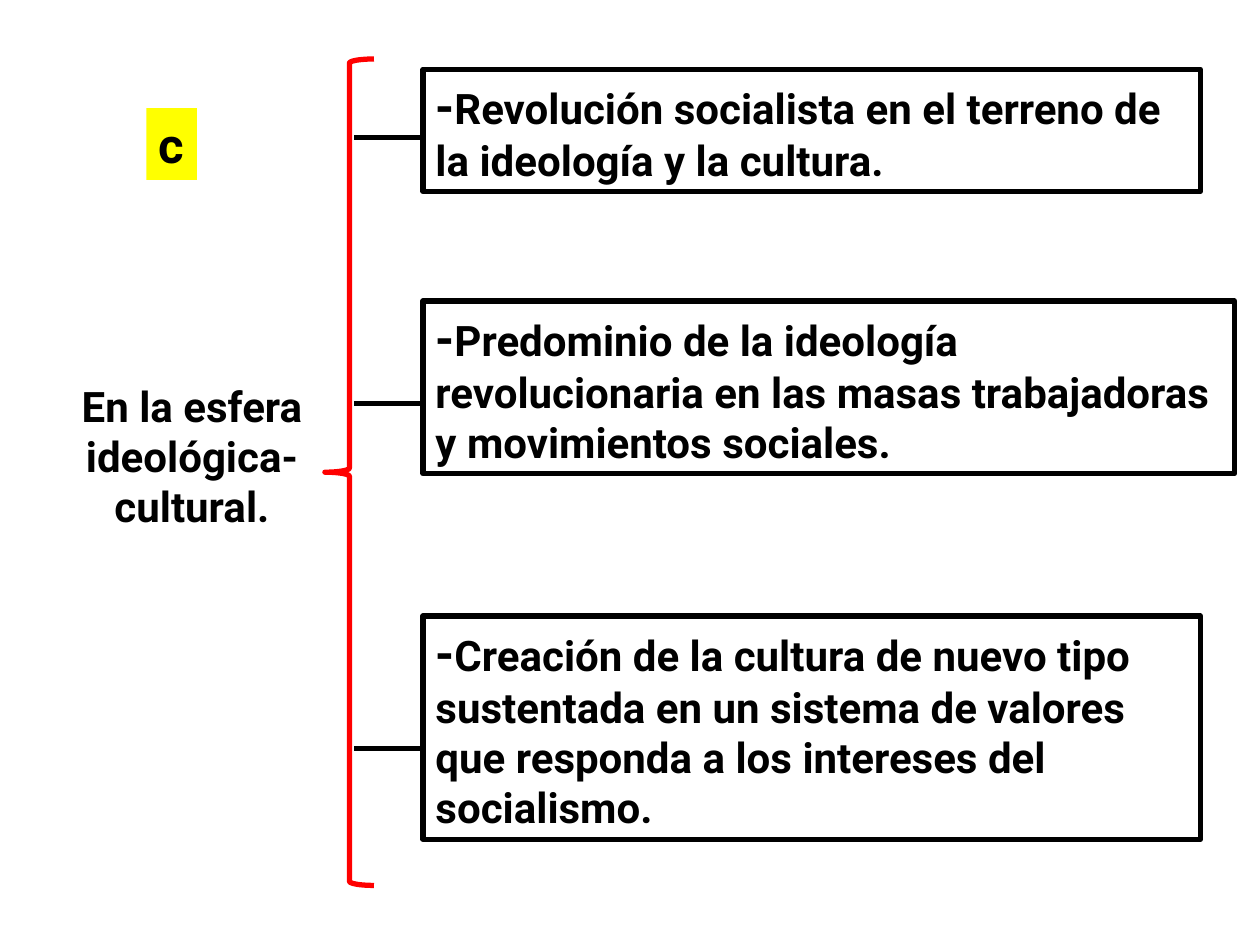
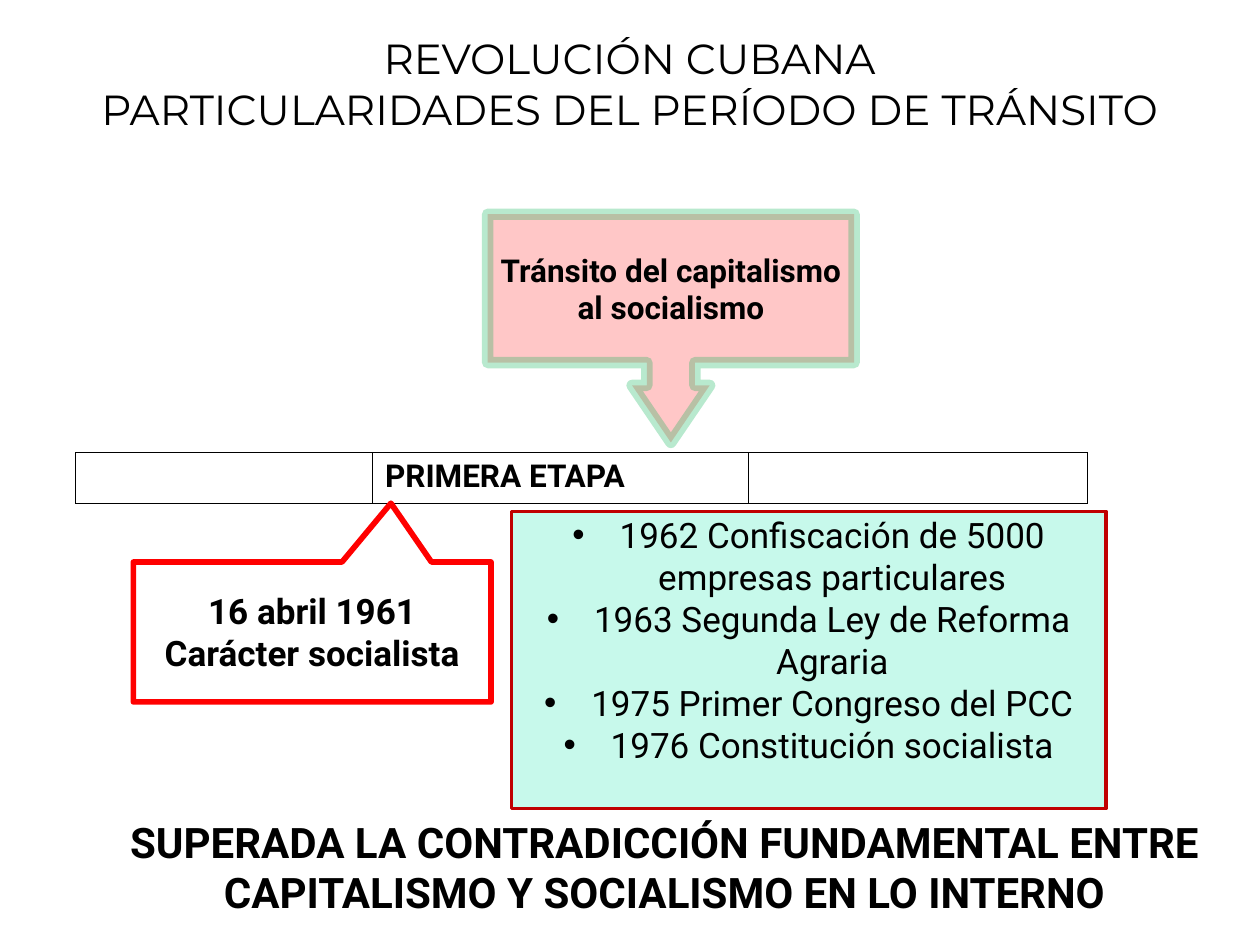
"""Build two slides on the ideological sphere and the Cuban period of transition."""
from lxml.etree import SubElement
from pptx import Presentation
from pptx.dml.color import RGBColor
from pptx.enum.shapes import MSO_CONNECTOR, MSO_SHAPE
from pptx.enum.text import MSO_ANCHOR, MSO_AUTO_SIZE, PP_ALIGN
from pptx.oxml import parse_xml
from pptx.oxml.ns import nsdecls, qn
from pptx.util import Cm, Pt

COLORS = {
    "ink": "000000",
    "paper": "FFFFFF",
    "red": "FF0000",
    "dark_red": "C00000",
    "yellow": "FFFF00",
    "green": "00B050",
    "mint": "00E4A8",
}
BODY_FONT = "Roboto"
TITLE_FONT = "Montserrat"


def write(frame, lines, size, bold=True, align=PP_ALIGN.CENTER, anchor=MSO_ANCHOR.TOP, font=BODY_FONT):
    frame.text = "\n".join(lines)
    frame.word_wrap = True
    frame.auto_size = MSO_AUTO_SIZE.NONE
    frame.vertical_anchor = anchor
    for paragraph in frame.paragraphs:
        paragraph.alignment = align
        for run in paragraph.runs:
            run.font.size = Pt(size)
            run.font.name = font
            run.font.bold = bold
            run.font.color.rgb = RGBColor.from_string(COLORS["ink"])


def add_panel(slide, preset, place, fill=None, line=None, width=3):
    panel = slide.shapes.add_shape(preset, *map(Cm, place))
    panel.shadow.inherit = False
    if fill:
        panel.fill.solid()
        panel.fill.fore_color.rgb = RGBColor.from_string(COLORS[fill])
    else:
        panel.fill.background()
    if line:
        panel.line.color.rgb = RGBColor.from_string(COLORS[line])
        panel.line.width = Pt(width)
    else:
        panel.line.fill.background()
    return panel


deck = Presentation()
deck.slide_width, deck.slide_height = Cm(25.4), Cm(19.05)
title_only, blank = deck.slide_layouts[5], deck.slide_layouts[6]

sphere_slide = deck.slides.add_slide(blank)

sphere = sphere_slide.shapes.add_textbox(Cm(1.19), Cm(7.54), Cm(5.36), Cm(4.32))
write(sphere.text_frame, ["En la esfera ideológica-cultural."], 24)

add_panel(sphere_slide, MSO_SHAPE.LEFT_BRACE, (6.55, 1.19, 0.99, 16.66), line="red")

goals = [
    (1.4, 15.67, 2.46, 2.77, "Revolución socialista en el terreno de la ideología y la cultura."),
    (6.07, 16.36, 3.48, 8.13,
     "Predominio de la ideología revolucionaria en las masas trabajadoras y movimientos sociales."),
    (12.42, 15.67, 4.5, 15.09,
     "Creación de la cultura de nuevo tipo sustentada en un sistema de valores "
     "que responda a los intereses del socialismo."),
]
for top, width, height, branch_y, wording in goals:
    goal = add_panel(sphere_slide, MSO_SHAPE.RECTANGLE, (8.53, top, width, height), line="ink")
    write(goal.text_frame, ["-"], 28, align=PP_ALIGN.LEFT)
    statement = goal.text_frame.paragraphs[0].add_run()
    statement.text = wording
    statement.font.size = Pt(24)
    statement.font.name = BODY_FONT
    statement.font.bold = True
    statement.font.color.rgb = RGBColor.from_string(COLORS["ink"])

    branch = sphere_slide.shapes.add_connector(
        MSO_CONNECTOR.STRAIGHT, Cm(8.53), Cm(branch_y), Cm(7.14), Cm(branch_y))
    branch.line.color.rgb = RGBColor.from_string(COLORS["ink"])
    branch.line.width = Pt(3)
    SubElement(branch.element.spPr, qn("a:effectLst"))

section_letter = add_panel(sphere_slide, MSO_SHAPE.RECTANGLE, (2.95, 2.18, 1.02, 1.45), fill="yellow")
write(section_letter.text_frame, ["c"], 28, align=PP_ALIGN.LEFT)
section_letter.text_frame.word_wrap = False

transition_slide = deck.slides.add_slide(title_only)

heading = transition_slide.shapes.title
heading.left, heading.top, heading.width, heading.height = Cm(0.89), Cm(0.53), Cm(23.6), Cm(2.29)
write(heading.text_frame, ["REVOLUCIÓN CUBANA", "PARTICULARIDADES DEL PERÍODO DE TRÁNSITO"],
      24, bold=False, font=TITLE_FONT)

stage_widths = [5.99, 7.57, 6.83]
stages = transition_slide.shapes.add_table(
    1, 3, Cm(1.52), Cm(9.12), Cm(sum(stage_widths)), Cm(1.02)).table
stages.first_row = stages.horz_banding = False
for column, width in zip(stages.columns, stage_widths):
    column.width = Cm(width)
write(stages.cell(0, 1).text_frame, ["PRIMERA ETAPA"], 18, align=PP_ALIGN.LEFT)
for cell in stages.iter_cells():
    cell.fill.background()
    for position, side in enumerate(("lnL", "lnR", "lnT", "lnB")):
        cell_properties = cell._tc.get_or_add_tcPr()
        cell_properties.insert(position, parse_xml(
            f'<a:{side} {nsdecls("a")} w="{Pt(0.45)}"><a:solidFill>'
            f'<a:srgbClr val="{COLORS["ink"]}"/></a:solidFill></a:{side}>'))

declaration = add_panel(transition_slide, MSO_SHAPE.RECTANGULAR_CALLOUT, (2.69, 11.33, 7.21, 2.82),
                        fill="paper", line="red", width=3.25)
declaration.adjustments[0], declaration.adjustments[1] = 0.22, -0.92
write(declaration.text_frame, ["16 abril 1961", "Carácter socialista"], 20, anchor=MSO_ANCHOR.MIDDLE)

transition = add_panel(transition_slide, MSO_SHAPE.DOWN_ARROW_CALLOUT, (9.83, 4.32, 7.39, 4.6),
                       fill="red", line="green", width=6.5)
for index, proportion in enumerate((0.21, 0.17, 0.25, 0.65)):
    transition.adjustments[index] = proportion
write(transition.text_frame, ["Tránsito del capitalismo al socialismo"], 18, anchor=MSO_ANCHOR.MIDDLE)

milestones = add_panel(transition_slide, MSO_SHAPE.RECTANGLE, (10.31, 10.31, 11.99, 5.99),
                       fill="mint", line="dark_red", width=2)
write(milestones.text_frame, [
    "1962 Confiscación de 5000 empresas particulares",
    "1963 Segunda Ley de Reforma Agraria",
    "1975 Primer Congreso del PCC",
    "1976 Constitución socialista",
], 20, bold=False, anchor=MSO_ANCHOR.MIDDLE)
milestones.text_frame.margin_bottom = Cm(0.97)
for milestone in milestones.text_frame.paragraphs:
    indents = milestone._p.get_or_add_pPr()
    indents.set("marL", str(Cm(0.95)))
    indents.set("indent", str(-Cm(0.95)))
    SubElement(indents, qn("a:buFont"), typeface="Arial")
    SubElement(indents, qn("a:buChar"), char="•")

for panel, opacities in ((transition, (22, 28)), (milestones, (22,))):
    for tint, opacity in zip(panel.element.spPr.iter(qn("a:srgbClr")), opacities):
        SubElement(tint, qn("a:alpha"), val=str(opacity * 1000))

conclusion = transition_slide.shapes.add_textbox(Cm(1.7), Cm(16.33), Cm(23.39), Cm(2.29))
write(conclusion.text_frame,
      ["SUPERADA LA CONTRADICCIÓN FUNDAMENTAL ENTRE CAPITALISMO Y SOCIALISMO EN LO INTERNO"], 24)

deck.save("out.pptx")
